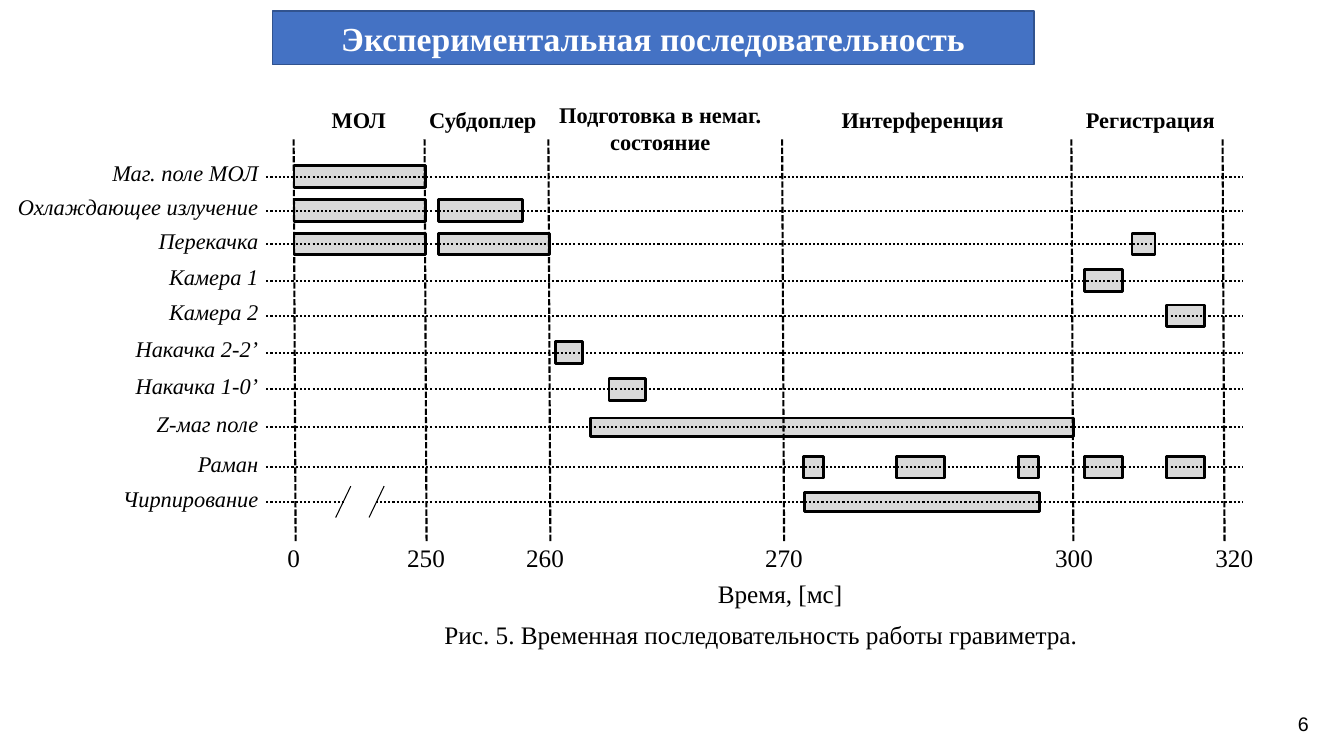
from lxml.etree import SubElement
from pptx import Presentation
from pptx.dml.color import RGBColor
from pptx.enum.dml import MSO_LINE
from pptx.enum.shapes import MSO_CONNECTOR, MSO_SHAPE
from pptx.enum.text import MSO_ANCHOR, MSO_AUTO_SIZE, PP_ALIGN
from pptx.oxml import parse_xml
from pptx.oxml.ns import nsdecls, qn
from pptx.util import Cm, Pt

SERIF = "Times New Roman"
PULSE_HEIGHT, THIN_PULSE = 0.55, 0.47
LEAN = 0.05  # sideways shift of each time marker from top to bottom

# Name, height of the dotted line, pulse thickness, (start, length) of pulses
CHANNELS = [
    ("Маг. поле МОЛ", 0.94, PULSE_HEIGHT, [(0.7, 3.31)]),
    ("Охлаждающее излучение", 1.8, PULSE_HEIGHT, [(0.7, 3.31), (4.34, 2.11)]),
    ("Перекачка", 2.64, PULSE_HEIGHT, [(0.7, 3.31), (4.34, 2.79), (21.82, 0.58)]),
    ("Камера 1", 3.56, PULSE_HEIGHT, [(20.62, 0.97)]),
    ("Камера 2", 4.45, PULSE_HEIGHT, [(22.68, 0.97)]),
    ("Накачка 2-2’", 5.38, PULSE_HEIGHT, [(7.29, 0.69)]),
    ("Накачка 1-0’", 6.3, PULSE_HEIGHT, [(8.64, 0.91)]),
    ("Z-маг поле", 7.26, THIN_PULSE, [(8.18, 12.17)]),
    ("Раман", 8.26, PULSE_HEIGHT,
     [(13.54, 0.51), (15.88, 1.22), (18.95, 0.51), (20.62, 0.97), (22.68, 0.97)]),
    ("Чирпирование", 9.14, THIN_PULSE, [(13.56, 5.92)]),
]
# Time, position of the marker, left edge of its label
MARKERS = [("0", 0.69, 0.28), ("250", 3.99, 3.3), ("260", 7.11, 6.3),
           ("270", 13, 12.32), ("300", 20.29, 19.63), ("320", 24.1, 23.67)]
# Name, centre, top, width
STAGES = [("МОЛ", 2.33, -0.95, 3.3), ("Субдоплер", 5.46, -0.95, 3.6),
          ("Подготовка в немаг. состояние", 9.93, -1.09, 6.15),
          ("Интерференция", 16.54, -0.95, 4.93), ("Регистрация", 22.28, -0.95, 4.3)]


def color(value):
    return RGBColor.from_string(value)


def write(frame, text, size=18, font=SERIF, fill="000000", bold=False,
          italic=False, align=PP_ALIGN.LEFT, anchor=MSO_ANCHOR.TOP):
    frame.word_wrap = True
    frame.auto_size = MSO_AUTO_SIZE.NONE
    frame.vertical_anchor = anchor
    para = frame.paragraphs[0]
    para.alignment = align
    span = para.add_run()
    span.text = text
    span.font.name, span.font.size = font, Pt(size)
    span.font.bold, span.font.italic = bold, italic
    span.font.color.rgb = color(fill)


def add_text(page, text, left, top, width, height, **style):
    box = page.shapes.add_textbox(Cm(left), Cm(top), Cm(width), Cm(height))
    write(box.text_frame, text, **style)


def add_line(page, start, end, width=1.5, dash=None):
    line = page.shapes.add_connector(
        MSO_CONNECTOR.STRAIGHT, *(Cm(value) for value in (*start, *end)))
    line.line.color.rgb = color("000000")
    line.line.width = Pt(width)
    if dash:
        line.line.dash_style = dash
    SubElement(line._element.spPr, qn("a:effectLst"))


def add_block(page, left, top, width, height, fill, outlined=True):
    block = page.shapes.add_shape(
        MSO_SHAPE.RECTANGLE, Cm(left), Cm(top), Cm(width), Cm(height))
    block.shadow.inherit = False
    block.fill.solid()
    block.fill.fore_color.rgb = color(fill)
    if outlined:
        block.line.color.rgb = color("000000")
        block.line.width = Pt(2)
    else:
        block.line.fill.background()
    return block


def add_title(page, left, top, width, height):
    title = page.shapes.title
    title.left, title.top = Cm(left), Cm(top)
    title.width, title.height = Cm(width), Cm(height)
    title._element.spPr.append(parse_xml(
        f'<a:prstGeom {nsdecls("a")} prst="roundRect"><a:avLst>'
        '<a:gd name="adj" fmla="val 16667"/></a:avLst></a:prstGeom>'))
    title.fill.solid()
    title.fill.fore_color.rgb = color("4472C4")
    title.line.color.rgb = color("31538F")
    title.line.width = Pt(1)
    write(title.text_frame, "Экспериментальная последовательность", size=24,
          fill="FFFFFF", bold=True, align=PP_ALIGN.CENTER, anchor=MSO_ANCHOR.MIDDLE)


def add_channels(page, left, top, width):
    for name, level, thickness, pulses in CHANNELS:
        y = top + level
        for start, length in pulses:
            add_block(page, left + start, y - thickness / 2, length, thickness, "D9D9D9")
        add_line(page, (left, y), (left + width, y), dash=MSO_LINE.ROUND_DOT)
        add_text(page, name, left - 6.6, y - 0.56, 6.65, 0.94, size=16,
                 italic=True, align=PP_ALIGN.RIGHT)


def add_axis_break(page, left, top):
    """Cut a gap in a dotted line between two slanted strokes."""
    for shift in (0, 0.84):
        add_line(page, (left + shift + 0.38, top), (left + shift, top + 0.79), width=0.75)
    gap = add_block(page, left + 0.28, top - 0.07, 0.66, 0.94, "FFFFFF", outlined=False)
    gap.rotation = 25.6


def add_time_markers(page, left, top, height):
    for time, x, label_left in MARKERS:
        add_line(page, (left + x, top), (left + x + LEAN, top + height),
                 dash=MSO_LINE.SQUARE_DOT)
        add_text(page, time, left + label_left, top + height - 0.13, 2, 1.03)


def add_stages(page, left, top):
    for name, center, shift, width in STAGES:
        add_text(page, name, left + center - width / 2, top + shift, width, 0.94,
                 size=16, bold=True, align=PP_ALIGN.CENTER)


def add_timing_diagram(page, left, top, width, height):
    add_channels(page, left, top, width)
    add_axis_break(page, left + 1.75, top + 8.74)
    add_time_markers(page, left, top, height)
    add_stages(page, left, top)
    add_text(page, "Время, [мс]", left + 1.57, top + height + 0.78, 22.76, 1.03,
             align=PP_ALIGN.CENTER)
    add_text(page, "Рис. 5. Временная последовательность работы гравиметра.",
             left + 1.09, top + height + 1.8, 22.76, 1.03, align=PP_ALIGN.CENTER)


def main():
    deck = Presentation()
    deck.slide_width, deck.slide_height = Cm(33.87), Cm(19.05)
    page = deck.slides.add_slide(deck.slide_layouts[5])
    add_title(page, 6.86, 0.28, 19.2, 1.35)
    add_timing_diagram(page, 6.71, 3.51, 24.61, 10.16)
    add_text(page, "6", 32.46, 17.81, 0.99, 0.86, size=14, font="Arial")
    deck.save("out.pptx")


if __name__ == "__main__":
    main()
